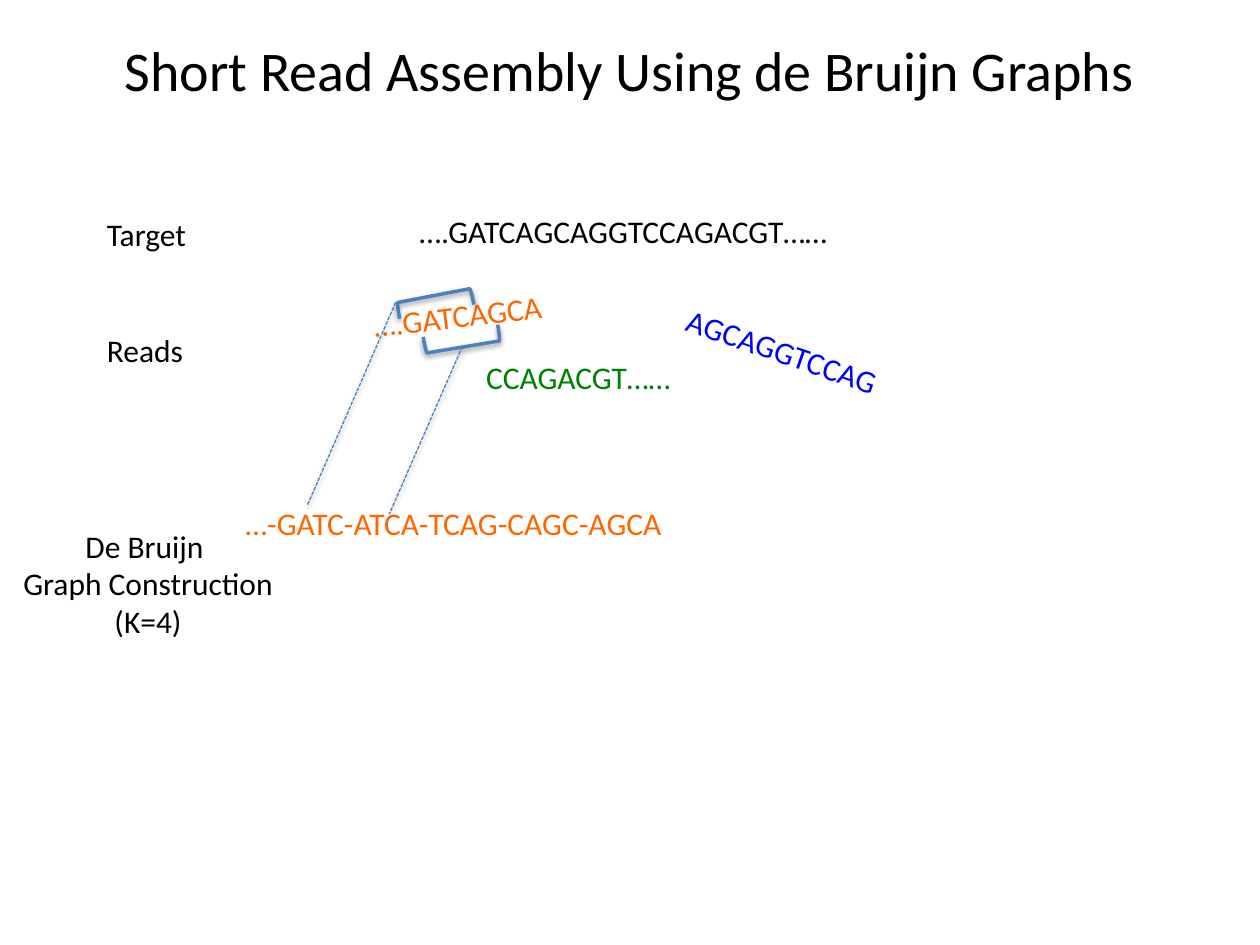
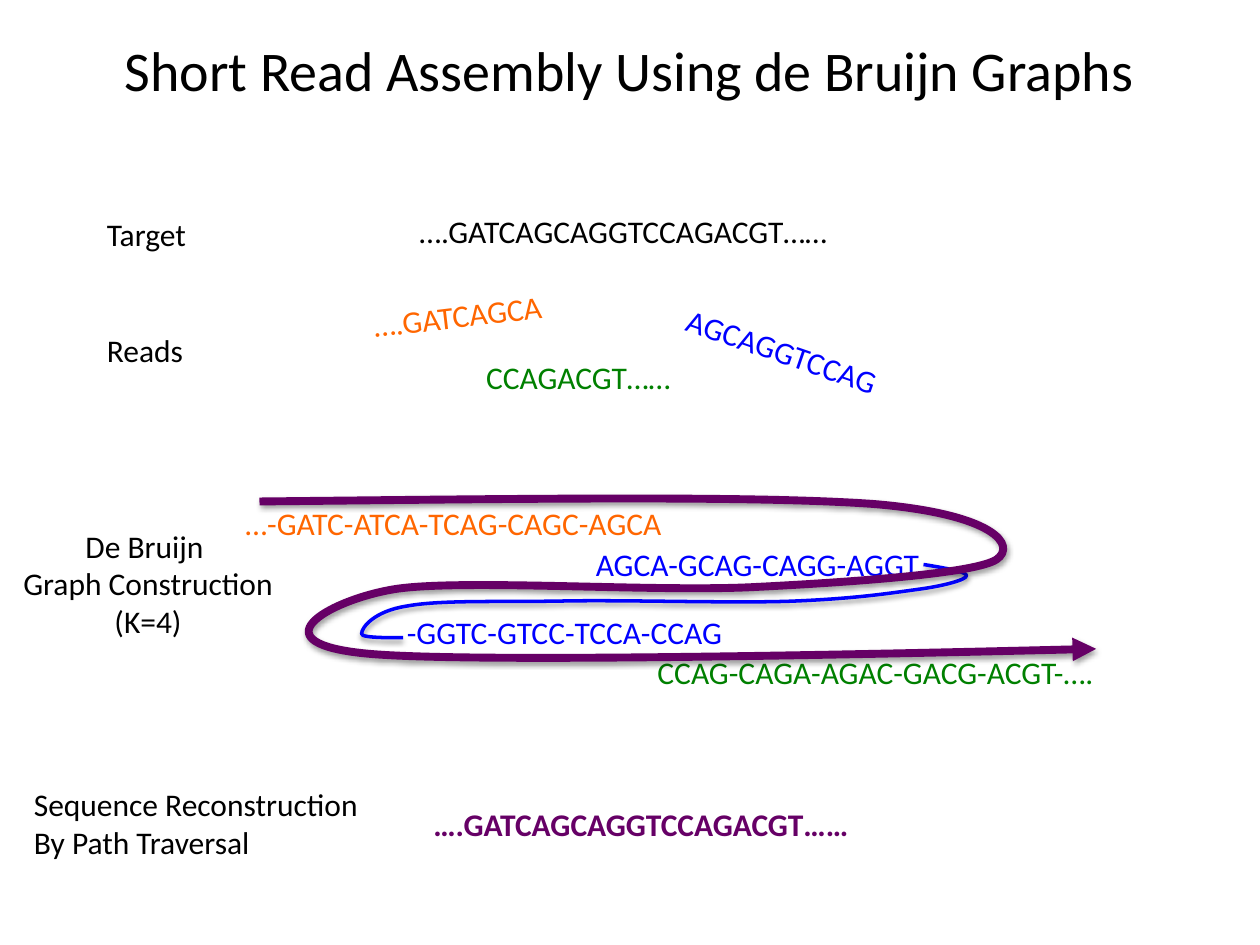
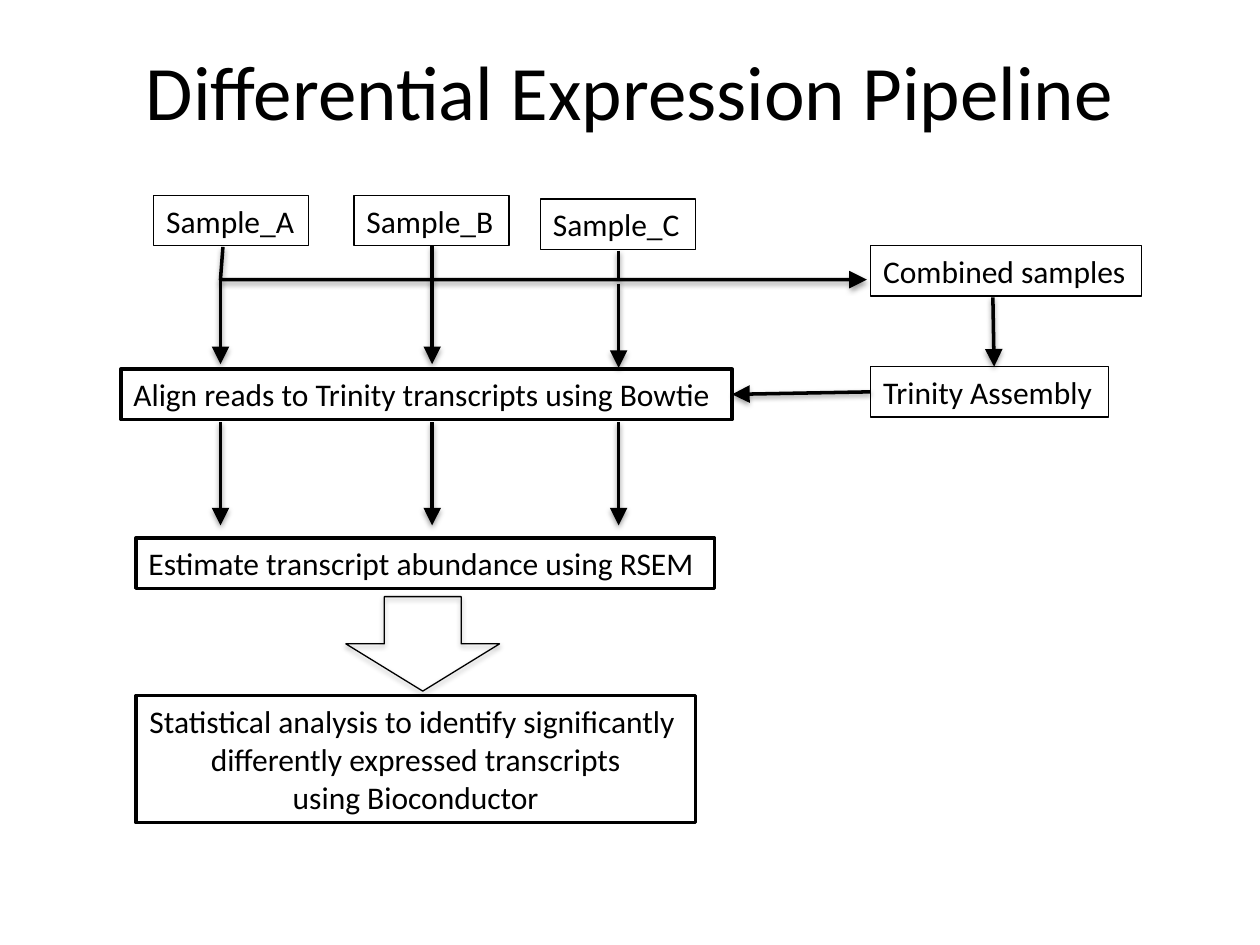
"""Build three slides on de Bruijn read assembly and a differential expression pipeline."""
from dataclasses import dataclass

from lxml.etree import SubElement
from pptx import Presentation
from pptx.dml.color import RGBColor as Color
from pptx.enum.dml import MSO_LINE as Dash
from pptx.enum.shapes import MSO_CONNECTOR as Connector, MSO_SHAPE as Shape
from pptx.enum.text import MSO_ANCHOR as Anchor, MSO_AUTO_SIZE as AutoSize, PP_ALIGN as Align
from pptx.oxml.ns import qn
from pptx.util import Inches, Pt


@dataclass(frozen=True)
class Theme:
    font: str = "Calibri"
    ink: str = "000000"
    paper: str = "FFFFFF"
    orange: str = "FF6600"
    blue: str = "0000FF"
    green: str = "008000"
    purple: str = "660066"
    steel: str = "4F81BD"
    body: int = 18
    title: int = 32
    big_title: int = 44
    thin: float = 0.75
    medium: float = 2
    thick: float = 4.5


THEME = Theme()
TITLE_ONLY = 5
TEXT_HEIGHT = 0.4


class Board:
    def __init__(self, deck, theme):
        self.deck = deck
        self.theme = theme
        self.page = None

    def new_page(self, title, size, top):
        self.page = self.deck.slides.add_slide(self.deck.slide_layouts[TITLE_ONLY])
        box = self.page.shapes.title
        box.left, box.top, box.width, box.height = map(Inches, (0.5, top, 9, 1.25))
        box.text_frame.vertical_anchor = Anchor.MIDDLE
        para = box.text_frame.paragraphs[0]
        para.alignment = Align.CENTER
        self.span(para, title, self.theme.ink, size)

    def span(self, para, text, color, size=None, bold=False):
        span = para.add_run()
        span.text = text
        span.font.name = self.theme.font
        span.font.size = Pt(size or self.theme.body)
        span.font.color.rgb = Color.from_string(color)
        span.font.bold = bold

    def fit(self, item):
        frame = item.text_frame
        frame.word_wrap = False
        frame.auto_size = AutoSize.SHAPE_TO_FIT_TEXT
        return frame

    def label(self, lines, left, top, width, color=None, height=TEXT_HEIGHT,
              rotation=0, align=Align.LEFT, bold=False):
        box = self.page.shapes.add_textbox(*map(Inches, (left, top, width, height)))
        box.rotation = rotation
        frame = self.fit(box)
        for index, line in enumerate(lines.split("\n")):
            para = frame.add_paragraph() if index else frame.paragraphs[0]
            para.alignment = align
            self.span(para, line, color or self.theme.ink, bold=bold)

    def shape(self, kind, left, top, width, height, color, weight, rotation=0, shadow=False):
        item = self.page.shapes.add_shape(kind, *map(Inches, (left, top, width, height)))
        item.rotation = rotation
        item.fill.background()
        self.outline(item, color, weight, shadow=shadow)
        return item

    def step(self, text, left, top, width, height=TEXT_HEIGHT, weight=None,
             filled=False, align=Align.LEFT):
        box = self.shape(Shape.RECTANGLE, left, top, width, height,
                         self.theme.ink, weight or self.theme.thin)
        if filled:
            box.fill.solid()
            box.fill.fore_color.rgb = Color.from_string(self.theme.paper)
        para = self.fit(box).paragraphs[0]
        para.alignment = align
        for index, line in enumerate(text.split("\n")):
            if index:
                para.add_line_break()
            self.span(para, line, self.theme.ink)

    def line(self, start, end, color=None, weight=None, arrow=None, dash=None):
        item = self.page.shapes.add_connector(
            Connector.STRAIGHT, *map(Inches, (*start, *end)))
        self.outline(item, color or self.theme.ink, weight or self.theme.medium,
                     arrow, dash, shadow=True)

    def trail(self, points, color, weight, arrow=None):
        corners = [(Inches(x), Inches(y)) for x, y in points]
        builder = self.page.shapes.build_freeform(*corners[0])
        builder.add_line_segments(corners[1:], close=False)
        item = builder.convert_to_shape()
        item.fill.background()
        self.outline(item, color, weight, arrow, shadow=True)
        return item

    def curve(self, start, bends, color, weight, arrow=None):
        item = self.trail([start, *(bend[-2:] for bend in bends)], color, weight, arrow)
        outline = next(item._element.iter(qn("a:path")))
        for straight in outline.findall(qn("a:lnTo")):
            outline.remove(straight)
        for bend in bends:
            bezier = SubElement(outline, qn("a:cubicBezTo"))
            for x, y in zip(bend[::2], bend[1::2]):
                SubElement(bezier, qn("a:pt"), x=str(Inches(x) - item.left),
                           y=str(Inches(y) - item.top))

    def outline(self, item, color, weight, arrow=None, dash=None, shadow=False):
        item.line.color.rgb = Color.from_string(color)
        item.line.width = Pt(weight)
        if dash:
            item.line.dash_style = dash
        properties = item._element.spPr
        if arrow:
            SubElement(properties.find(qn("a:ln")), qn("a:tailEnd"),
                       type="triangle", w=arrow, len=arrow)
        effects = SubElement(properties, qn("a:effectLst"))
        if shadow:
            cast = SubElement(effects, qn("a:outerShdw"), blurRad=str(Pt(3.1)),
                              dist=str(Pt(1.6)), dir="5400000", rotWithShape="0")
            tone = SubElement(cast, qn("a:srgbClr"), val=self.theme.ink)
            SubElement(tone, qn("a:alpha"), val="38000")


def draw_assembly_base(board):
    theme = board.theme
    board.new_page("Short Read Assembly Using de Bruijn Graphs", theme.title, -0.08)
    board.label("Target", 0.75, 1.66, 0.86)
    board.label("….GATCAGCAGGTCCAGACGT……", 3.23, 1.63, 3.53)
    board.label("Reads", 0.75, 2.58, 0.82)
    board.label("….GATCAGCA", 2.86, 2.3, 1.59, theme.orange, rotation=353.1)
    board.label("AGCAGGTCCAG", 5.32, 2.59, 1.8, theme.blue, rotation=19.1)
    board.label("CCAGACGT……", 3.76, 2.79, 1.7, theme.green)
    board.label("…-GATC-ATCA-TCAG-CAGC-AGCA", 1.85, 3.95, 3.6, theme.orange)
    board.label("De Bruijn \nGraph Construction\n(K=4)", 0.07, 4.13, 2.21,
                height=1.01, align=Align.CENTER)


def draw_first_kmer(board):
    theme = board.theme
    draw_assembly_base(board)
    for left, top, rotation in ((3.39, 2.11, 259.2), (3.6, 2.39, 80.6)):
        board.shape(Shape.RIGHT_BRACKET, left, top, 0.13, 0.6, theme.steel,
                    theme.medium, rotation, shadow=True)
    for start, end in (((3.14, 2.4), (2.44, 4.01)), ((3.67, 2.75), (3.09, 4.08))):
        board.line(start, end, theme.steel, theme.thin, dash=Dash.SQUARE_DOT)


def draw_path_traversal(board):
    theme = board.theme
    draw_assembly_base(board)
    board.label("AGCA-GCAG-CAGG-AGGT", 4.63, 4.28, 2.81, theme.blue)
    board.label("CCAG-CAGA-AGAC-GACG-ACGT-….", 5.12, 5.13, 3.74, theme.green)
    board.label("-GGTC-GTCC-TCCA-CCAG", 3.13, 4.82, 2.75, theme.blue)
    read_link = [
        (7.51, 4.51, 7.68, 4.54, 7.67, 4.57),
        (7.67, 4.6, 7.5, 4.65, 7.27, 4.68),
        (7.05, 4.71, 6.79, 4.75, 6.32, 4.77),
        (5.86, 4.79, 4.99, 4.76, 4.48, 4.77),
        (3.96, 4.78, 3.5, 4.76, 3.23, 4.81),
        (2.97, 4.85, 2.87, 4.98, 2.87, 5.03),
        (2.86, 5.07, 3.2, 5.06, 3.2, 5.06),
    ]
    board.curve((7.33, 4.48), read_link, theme.blue, theme.medium)
    board.label("Sequence Reconstruction\nBy Path Traversal", 0.17, 6.18, 2.81, height=0.71)
    board.label("….GATCAGCAGGTCCAGACGT……", 3.34, 6.34, 3.58, theme.purple, bold=True)
    graph_walk = [
        (4.01, 3.96, 5.95, 3.93, 6.93, 4),
        (7.9, 4.08, 8.07, 4.33, 7.91, 4.44),
        (7.75, 4.55, 6.78, 4.62, 5.98, 4.66),
        (5.17, 4.7, 3.61, 4.59, 3.11, 4.68),
        (2.6, 4.77, 2.01, 5.11, 2.94, 5.19),
        (3.87, 5.27, 8.7, 5.15, 8.7, 5.15),
    ]
    board.curve((2.06, 3.98), graph_walk, theme.purple, theme.thick, arrow="med")


def draw_pipeline(board):
    theme = board.theme
    board.new_page("Differential Expression Pipeline", theme.big_title, 0.09)
    for text, left, top, width, height, align in (
        ("Align reads to Trinity transcripts using Bowtie",
         0.96, 2.93, 4.85, TEXT_HEIGHT, Align.LEFT),
        ("Estimate transcript abundance using RSEM",
         1.08, 4.27, 4.59, TEXT_HEIGHT, Align.LEFT),
        ("Statistical analysis to identify significantly \n"
         "differently expressed transcripts\nusing Bioconductor",
         1.08, 5.52, 4.44, 1.01, Align.CENTER),
    ):
        board.step(text, left, top, width, height, theme.medium, True, align)
    for text, left, top, width in (
        ("Sample_A", 1.22, 1.55, 1.23),
        ("Sample_B", 2.81, 1.55, 1.23),
        ("Sample_C", 4.29, 1.58, 1.23),
        ("Trinity Assembly", 6.91, 2.91, 1.89),
        ("Combined samples", 6.91, 1.95, 2.15),
    ):
        board.step(text, left, top, width)

    merge_y = 2.22
    board.trail([(1.77, 1.96), (1.75, merge_y), (6.88, merge_y)],
                theme.ink, theme.medium, arrow="lg")
    for x, top in ((3.43, 1.95), (4.91, 1.99)):
        board.line((x, top), (x, merge_y))
    board.line((7.88, 2.36), (7.89, 2.91), arrow="lg")
    board.line((6.91, 3.11), (5.81, 3.13), arrow="lg")
    for x, top, bottom in ((1.75, merge_y, 2.89), (3.43, 2.23, 2.89), (4.91, 2.25, 2.92)):
        board.line((x, top), (x, bottom), arrow="lg")
        board.line((x, 3.35), (x, 4.17), arrow="lg")
    board.shape(Shape.RIGHT_ARROW, 2.98, 4.5, 0.75, 1.22, theme.ink, theme.thin,
                rotation=90, shadow=True)


def main():
    deck = Presentation()
    deck.slide_width, deck.slide_height = Inches(10), Inches(7.5)
    board = Board(deck, THEME)
    draw_first_kmer(board)
    draw_path_traversal(board)
    draw_pipeline(board)
    deck.save("out.pptx")


if __name__ == "__main__":
    main()
